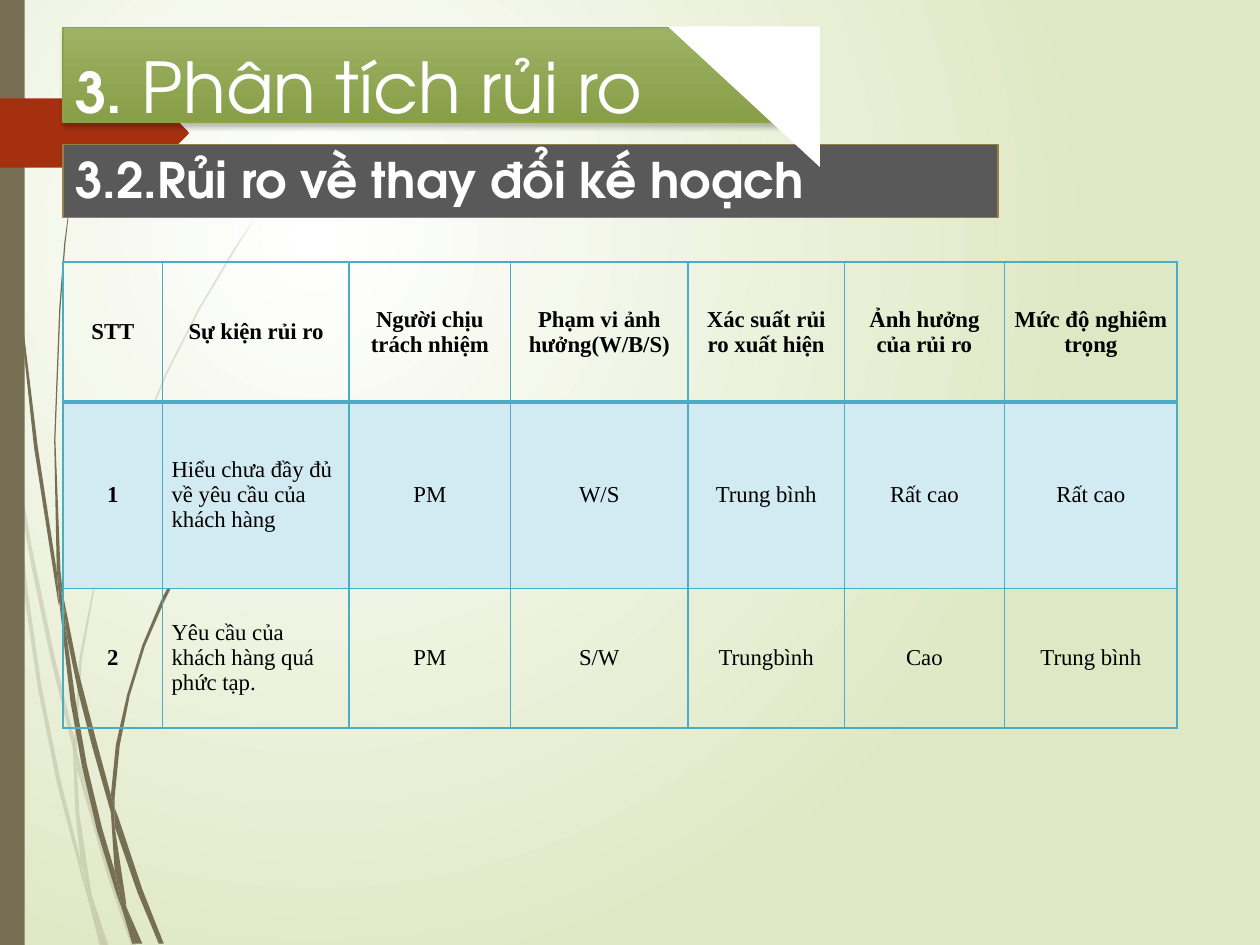
import pptx
import pptx.dml.color
import pptx.enum.shapes
import pptx.enum.text
import pptx.oxml
import pptx.oxml.ns
import pptx.util
from lxml import etree

Cm = pptx.util.Cm
Pt = pptx.util.Pt
qn = pptx.oxml.ns.qn
SHAPES = pptx.enum.shapes.MSO_SHAPE
ALIGN = pptx.enum.text.PP_ALIGN
MIDDLE = pptx.enum.text.MSO_ANCHOR.MIDDLE

GRID_STEP = Cm(2.54) // 100  # outlines are drawn on a grid of 1000 by 750 steps

PALE_WISPS = [
    [(8, 350), (6, 322), (0, 282), (0, 299), (7, 344)],
    [(40, 522), (59, 599), (59, 586), (43, 520), (25, 433), (10, 345), (12, 376), (25, 450)],
    [(64, 607), (61, 596), (61, 610), (85, 694), (104, 750), (108, 750), (88, 692)],
    [(83, 750), (86, 750), (73, 711)],
    [(64, 683), (48, 619), (33, 545), (22, 469), (12, 376), (8, 350), (19, 470), (30, 546),
     (45, 621), (64, 693), (70, 714), (69, 707)],
    [(58, 599), (60, 646), (64, 683), (67, 692), (73, 711), (72, 706), (63, 646), (61, 610)],
    [(61, 584), (65, 523), (76, 462), (91, 405), (111, 349), (133, 296), (159, 245), (187, 198),
     (201, 175), (217, 154), (217, 153), (201, 175), (186, 197), (158, 244), (132, 295),
     (110, 348), (90, 404), (75, 461), (63, 522), (59, 584), (59, 586), (61, 596)],
    [(70, 714), (79, 750), (82, 750)],
    [(61, 608), (61, 596), (59, 586), (58, 599)],
    [(67, 692), (65, 683), (69, 707), (70, 714), (82, 750), (83, 750), (73, 711)],
]
DARK_WISPS = [
    [(5, 110), (14, 233), (27, 355), (46, 477), (47, 481), (45, 453), (30, 355), (15, 232),
     (6, 109), (4, 48), (3, 0), (2, 0), (3, 48)],
    [(73, 592), (88, 645), (88, 631), (77, 590), (62, 532), (50, 472), (53, 505), (62, 549)],
    [(94, 649), (91, 641), (91, 656), (109, 708), (126, 749), (130, 749), (113, 706)],
    [(91, 691), (81, 657), (69, 607), (60, 556), (53, 505), (47, 477), (56, 557), (65, 608),
     (77, 659), (92, 708), (97, 722), (96, 717)],
    [(50, 472), (48, 453), (44, 349), (48, 245), (52, 193), (58, 141), (51, 193), (47, 245),
     (43, 349), (45, 449), (49, 472)],
    [(110, 749), (113, 749), (100, 719)],
    [(47, 477), (53, 505), (50, 472), (49, 472), (45, 449), (45, 453)],
    [(91, 633), (95, 592), (103, 552), (115, 513), (131, 476), (149, 440), (169, 406), (191, 374),
     (203, 359), (216, 344), (215, 344), (203, 358), (191, 373), (168, 405), (148, 439),
     (129, 474), (113, 512), (101, 551), (92, 591), (88, 631), (91, 641)],
    [(97, 722), (105, 749), (108, 749)],
    [(88, 645), (91, 691), (96, 706), (100, 719), (100, 716), (91, 656), (90, 651)],
    [(88, 645), (91, 656), (91, 641), (88, 631)],
    [(96, 706), (91, 691), (96, 717), (97, 722), (108, 749), (110, 749), (100, 719)],
]
RED_ARROW = [(0, 78), (121, 78), (124, 79), (149, 104), (150, 106), (149, 107), (124, 132),
             (121, 133), (0, 133)]

RISK_ROWS = [
    ["STT", "Sự kiện rủi ro", "Người chịu trách nhiệm", "Phạm vi ảnh hưởng(W/B/S)",
     "Xác suất rủi ro xuất hiện", "Ảnh hưởng của rủi ro", "Mức độ nghiêm trọng"],
    ["1", "Hiểu chưa đầy đủ về yêu cầu của khách hàng", "PM", "W/S", "Trung bình", "Rất cao",
     "Rất cao"],
    ["2", "Yêu cầu của khách hàng quá phức tạp.", "PM", "S/W", "Trungbình", "Cao", "Trung bình"],
]
COLUMN_WIDTHS = [2.01, 3.76, 3.25, 3.58, 3.15, 3.23, 3.48]
ROW_HEIGHTS = [2.82, 3.76, 2.82]


def color(code):
    return pptx.dml.color.RGBColor.from_string(code)


def write(para, text, font, size, ink="FFFFFF", bold=False):
    span = para.add_run()
    span.text = text
    span.font.name = font
    span.font.size = Pt(size)
    span.font.bold = bold
    span.font.color.rgb = color(ink)


def add_xml(parent, tag, **attributes):
    return etree.SubElement(parent, qn(tag), attributes)


def set_gradient(fill, first, last):
    fill.gradient()
    for stop, code, position in zip(fill.gradient_stops, (first, last), (0, 1)):
        stop.color.rgb = color(code)
        stop.position = position


class RiskPage:
    heading_font = "TeX Gyre Adventor"
    table_font = "Times New Roman"
    border = "4BACC6"

    def __init__(self, deck):
        self.page = deck.slides.add_slide(deck.slide_layouts[5])
        self.shapes = self.page.shapes

    def background(self, center, edge):
        """Round gradient centred on the upper left quarter."""
        set_gradient(self.page.background.fill, center, edge)
        gradient = self.page.element.find(".//" + qn("a:gradFill"))
        gradient.remove(gradient.find(qn("a:lin")))
        circle = add_xml(gradient, "a:path", path="circle")
        add_xml(circle, "a:fillToRect", l="50000", t="50000", r="100000", b="100000")

    def paint(self, shape, fill, line=None):
        shape.shadow.inherit = False
        shape.fill.solid()
        shape.fill.fore_color.rgb = color(fill)
        self.outline(shape, line)

    def outline(self, shape, line):
        if line:
            shape.line.color.rgb = color(line)
            shape.line.width = Pt(0.75)
        else:
            shape.line.fill.background()

    def outline_shape(self, points, fill, opacity=100):
        builder = self.shapes.build_freeform(*points[0], scale=GRID_STEP)
        builder.add_line_segments(points[1:], close=True)
        shape = builder.convert_to_shape()
        self.paint(shape, fill)
        if opacity < 100:
            tint = shape._element.spPr.find(qn("a:solidFill"))[0]
            add_xml(tint, "a:alpha", val=str(opacity * 1000))

    def block(self, kind, left, top, width, height, fill, line=None):
        shape = self.shapes.add_shape(kind, Cm(left), Cm(top), Cm(width), Cm(height))
        self.paint(shape, fill, line)
        return shape

    def heading(self, shape, spans, top_inset, bottom_inset):
        """Write (text, size, bold) spans on one line, placed by the insets."""
        frame = shape.text_frame
        frame.word_wrap = True
        frame.auto_size = pptx.enum.text.MSO_AUTO_SIZE.NONE
        frame.vertical_anchor = MIDDLE
        frame.margin_top, frame.margin_bottom = Cm(top_inset), Cm(bottom_inset)
        para = frame.paragraphs[0]
        para.alignment = ALIGN.LEFT
        for text, size, bold in spans:
            write(para, text, self.heading_font, size, bold=bold)

    def title(self, spans):
        box = self.shapes.title
        self.shapes._spTree.append(box._element)  # bring in front of the decoration
        box.left, box.top, box.width, box.height = Cm(1.27), Cm(0.56), Cm(15.04), Cm(1.9)
        set_gradient(box.fill, "9DB265", "889E47")
        box.fill.gradient_angle = 270
        self.outline(box, "8BA249")
        effects = add_xml(box._element.spPr, "a:effectLst")
        shadow = add_xml(effects, "a:outerShdw", blurRad=str(Pt(3)), dist=str(Pt(2)),
                         dir="5400000", rotWithShape="0")
        add_xml(add_xml(shadow, "a:srgbClr", val="000000"), "a:alpha", val="25000")
        self.heading(box, spans, 0.43, 0)

    def cell_borders(self, cell, bold_side):
        properties = cell._tc.get_or_add_tcPr()
        for side in "LRTB":
            width = Pt(2.25 if side == bold_side else 1)
            edge = add_xml(properties, "a:ln" + side, w=str(width))
            add_xml(add_xml(edge, "a:solidFill"), "a:srgbClr", val=self.border)

    def table(self, rows, left, top):
        table = self.shapes.add_table(len(rows), len(rows[0]), Cm(left), Cm(top),
                                      Cm(sum(COLUMN_WIDTHS)), Cm(sum(ROW_HEIGHTS))).table
        table.first_row = table.horz_banding = False
        for column, width in zip(table.columns, COLUMN_WIDTHS):
            column.width = Cm(width)
        for row, height in zip(table.rows, ROW_HEIGHTS):
            row.height = Cm(height)
        for r, texts in enumerate(rows):
            for c, text in enumerate(texts):
                cell = table.cell(r, c)
                self.cell_borders(cell, "BT "[r])
                if r == 1:
                    cell.fill.solid()
                    cell.fill.fore_color.rgb = color("D2EAF1")
                else:
                    cell.fill.background()
                cell.vertical_anchor = MIDDLE
                cell.margin_left = cell.margin_right = Cm(0.18)
                cell.margin_top = cell.margin_bottom = 0
                para = cell.text_frame.paragraphs[0]
                para.alignment = ALIGN.LEFT if r and c == 1 else ALIGN.CENTER
                write(para, text, self.table_font, 13, ink="000000", bold=r == 0 or c == 0)


def main():
    deck = pptx.Presentation()
    deck.slide_width, deck.slide_height = Cm(25.4), Cm(19.05)
    page = RiskPage(deck)
    page.background("FFFFFF", "DFE8C4")
    for wisps, opacity in ((PALE_WISPS, 20), (DARK_WISPS, 100)):
        for points in wisps:
            page.outline_shape(points, "766F54", opacity)
    page.block(SHAPES.RECTANGLE, 0, 0, 0.5, 19.05, "766F54")
    page.outline_shape(RED_ARROW, "A53010")
    page.title([("3.", 32, True), (" Phân tích rủi ro", 40, False)])
    subtitle = page.block(SHAPES.RECTANGLE, 1.27, 2.92, 18.85, 1.47, "595959", "987D4D")
    page.heading(subtitle, [("3.2.Rủi ro về thay đổi kế hoạch", 28, True)], 0.13, 0.23)
    corner = page.block(SHAPES.RIGHT_TRIANGLE, 13.46, 0.53, 3.07, 2.84, "FFFFFF")
    corner.rotation = 180
    page.table(RISK_ROWS, 1.27, 5.28)
    deck.save("out.pptx")


if __name__ == "__main__":
    main()
